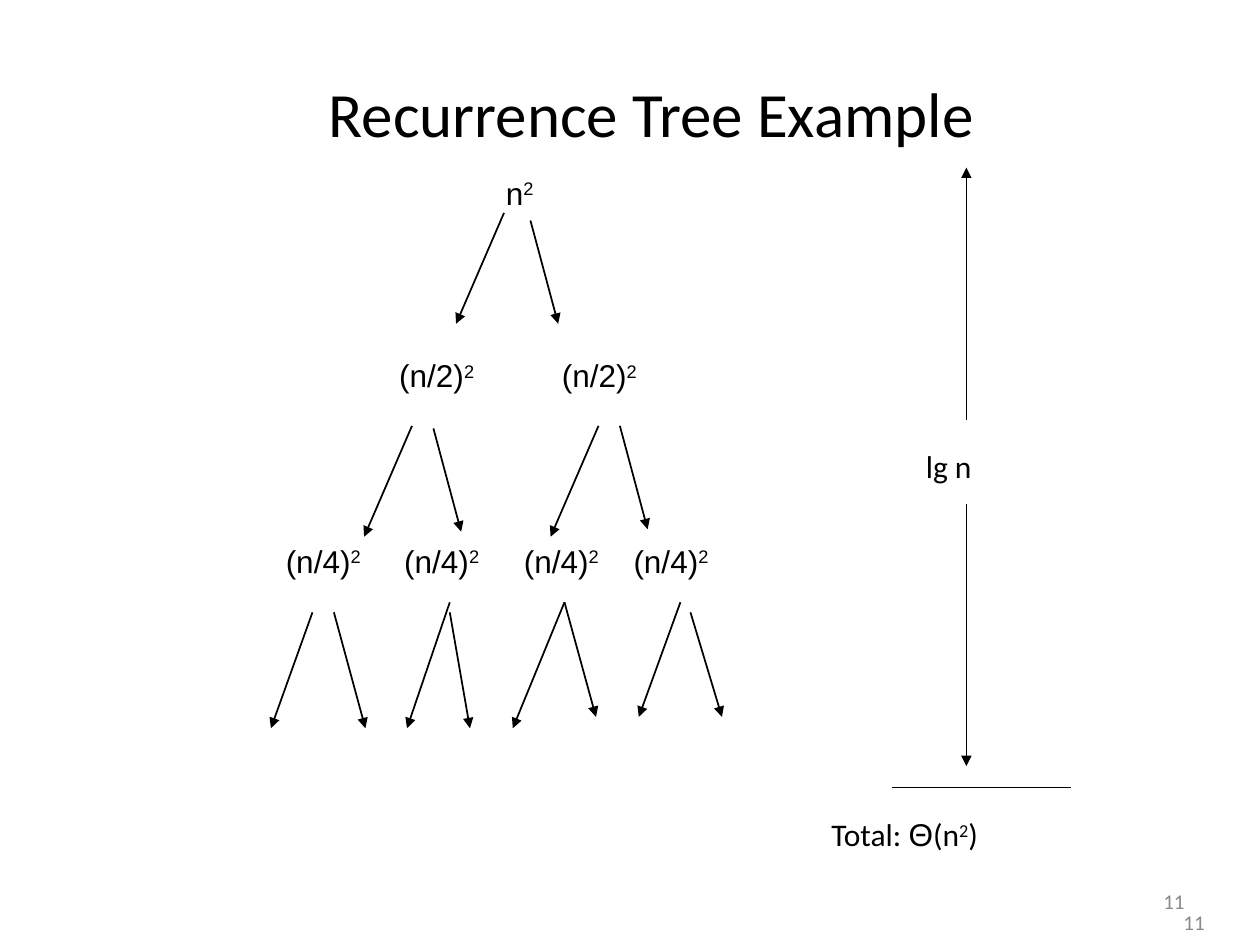
from pptx import Presentation
from pptx.dml.color import RGBColor
from pptx.enum.text import MSO_ANCHOR as Anchor, PP_ALIGN as Align
from pptx.enum.shapes import MSO_CONNECTOR as Conn
from pptx.oxml.ns import qn
from pptx.util import Inches, Pt
from lxml.etree import SubElement as Sub

BLACK = RGBColor(0, 0, 0)
GREY = RGBColor(0x89, 0x89, 0x89)
SANS, BODY = "Arial", "Calibri"


def write(par, text, font=BODY, size=18, color=BLACK, sup=False):
    """Add one formatted run to a paragraph."""
    run = par.add_run()
    run.text = text
    run.font.name, run.font.size = font, Pt(size)
    run.font.color.rgb = color
    if sup:
        run._r.get_or_add_rPr().set("baseline", "30000")


class Page:
    """Style of the slide and a method for each kind of element."""
    width = Pt(1)

    def __init__(self, deck):
        self.slide = deck.slides.add_slide(deck.slide_layouts[5])

    def title(self, text, x, y, w, h):
        box = self.slide.shapes.title
        box.left, box.top, box.width, box.height = map(Inches, (x, y, w, h))
        box.text_frame.vertical_anchor = Anchor.TOP
        par = box.text_frame.paragraphs[0]
        par.alignment = Align.CENTER
        write(par, text, size=36)

    def text(self, x, y, w, align=Align.LEFT, anchor=Anchor.TOP):
        box = self.slide.shapes.add_textbox(*map(Inches, (x, y, w, 0.4)))
        frame = box.text_frame
        frame.word_wrap, frame.vertical_anchor = True, anchor
        par = frame.paragraphs[0]
        par.alignment = align
        return par

    def nodes(self, base, x, y, w, stops=(), align=Align.LEFT):
        """One tree level: a squared term at the start and at each tab stop."""
        par = self.text(x, y, w, align)
        if stops:
            tabs = Sub(par._p.get_or_add_pPr(), qn("a:tabLst"))
            for stop in stops:
                Sub(tabs, qn("a:tab"), pos=str(Inches(stop)), algn="l")
        for i in range(len(stops) + 1):
            write(par, "\t" * (i > 0) + base, font=SANS)
            write(par, "2", font=SANS, sup=True)

    def line(self, x1, y1, x2, y2, arrow=True):
        ends = map(Inches, (x1, y1, x2, y2))
        link = self.slide.shapes.add_connector(Conn.STRAIGHT, *ends)
        link.line.color.rgb, link.line.width = BLACK, self.width
        if arrow:
            Sub(link.line._get_or_add_ln(), qn("a:tailEnd"), type="triangle")
        Sub(link._element.spPr, qn("a:effectLst"))

    def number(self, text, x, y):
        par = self.text(x, y, 2.33, Align.RIGHT, Anchor.MIDDLE)
        write(par, text, size=12, color=GREY)


def main():
    deck = Presentation()
    deck.slide_width, deck.slide_height = Inches(10), Inches(7.5)
    page = Page(deck)
    page.title("Recurrence Tree Example", 0.92, 0.54, 8.5, 0.71)

    # Tree levels
    page.nodes("n", 3.83, 1.33, 0.59, align=Align.CENTER)
    page.nodes("(n/2)", 3.07, 2.78, 2.51, stops=[1.29])
    page.nodes("(n/4)", 2.17, 4.25, 4.16, stops=[0.94, 1.89, 2.76])

    # Branches, left and right below each node
    for branch in [
        (4, 1.69, 3.62, 2.57), (4.21, 1.75, 4.43, 2.57),
        (3.27, 3.38, 2.89, 4.26), (3.44, 3.4, 3.66, 4.22),
        (4.75, 3.38, 4.37, 4.26), (4.92, 3.38, 5.14, 4.2),
        (2.48, 4.86, 2.15, 5.78), (2.65, 4.86, 2.9, 5.78),
        (3.57, 4.78, 3.23, 5.78), (3.57, 4.86, 3.73, 5.78),
        (4.48, 4.78, 4.07, 5.78), (4.48, 4.78, 4.73, 5.69),
        (5.4, 4.78, 5.07, 5.69), (5.48, 4.86, 5.73, 5.69),
    ]:
        page.line(*branch)

    # Height of the tree
    page.line(7.67, 3.33, 7.67, 1.33)
    page.line(7.67, 4, 7.67, 6.08)
    write(page.text(7.25, 3.5, 1.5), "lg n")

    # Total cost
    page.line(7.08, 6.25, 8.5, 6.25, arrow=False)
    total = page.text(6.5, 6.42, 2.17)
    write(total, "Total: ")
    write(total, "Θ", font=SANS)
    write(total, "(n")
    write(total, "2", sup=True)
    write(total, ")")

    # Page numbers
    for x, y in [(7.17, 6.95), (7.33, 7.12)]:
        page.number("11", x, y)

    deck.save("out.pptx")


if __name__ == "__main__":
    main()
